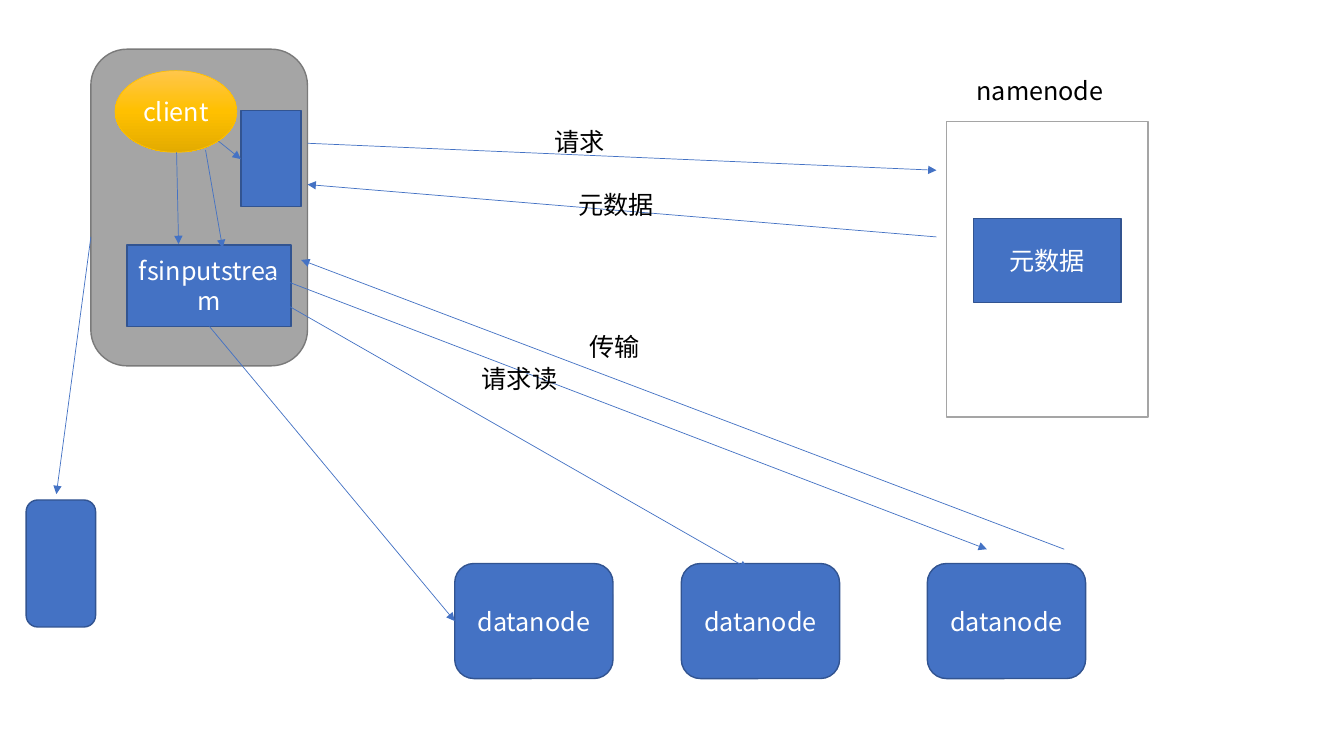
from copy import deepcopy
from typing import NamedTuple

from lxml import etree
from pptx import Presentation
from pptx.dml.color import RGBColor
from pptx.enum.shapes import MSO_CONNECTOR, MSO_SHAPE
from pptx.enum.text import MSO_ANCHOR, MSO_AUTO_SIZE, PP_ALIGN
from pptx.oxml.ns import qn
from pptx.slide import Slide
from pptx.util import Cm, Pt

RECT = MSO_SHAPE.RECTANGLE
ROUND = MSO_SHAPE.ROUNDED_RECTANGLE
OVAL = MSO_SHAPE.OVAL
STRAIGHT = MSO_CONNECTOR.STRAIGHT
CENTER = PP_ALIGN.CENTER
LEFT = PP_ALIGN.LEFT
MIDDLE = MSO_ANCHOR.MIDDLE
FIT_SHAPE = MSO_AUTO_SIZE.SHAPE_TO_FIT_TEXT

FONT = "Noto Sans CJK SC"
COLORS = {
    "white": "FFFFFF",
    "black": "000000",
    "blue": "4472C4",
    "blue_edge": "325491",
    "gray": "A5A5A5",
    "gray_edge": "7A7A7A",
    "gold": "FFC000",
    "gold_light": "FFC64B",
    "gold_dark": "E3AB00",
}
GOLD_STOPS = ((0, "gold_light"), (0.5, "gold"), (1, "gold_dark"))
LABEL_HEIGHT = 1.02


class Box(NamedTuple):
    kind: int
    left: float
    top: float
    width: float
    height: float
    text: str = ""
    fill: str = "blue"
    edge: str = "blue_edge"
    edge_pt: float = 1


class Label(NamedTuple):
    text: str
    left: float
    top: float
    width: float


class Arrow(NamedTuple):
    x1: float
    y1: float
    x2: float
    y2: float


DATANODES = [Box(ROUND, x, 14.2, 3.99, 2.9, "datanode") for x in (11.46, 17.17, 23.37)]
BOXES = [
    Box(RECT, 23.85, 3.07, 5.08, 7.44, fill="white", edge="gray"),
    Box(RECT, 24.54, 5.51, 3.71, 2.11, "元数据"),
    *DATANODES,
    Box(ROUND, 2.29, 1.24, 5.46, 7.98, fill="gray", edge="gray_edge"),
    Box(OVAL, 2.9, 1.78, 3.07, 2.06, "client", "gold", "gold", 0.5),
    Box(RECT, 6.07, 2.79, 1.52, 2.41),
    Box(RECT, 3.2, 6.17, 4.14, 2.06, "fsinputstream"),
    Box(ROUND, 0.66, 12.6, 1.75, 3.2),
]
ARROWS = [
    Arrow(7.75, 3.61, 23.6, 4.29),
    Arrow(23.6, 5.97, 7.75, 4.65),
    Arrow(5.51, 3.56, 6.07, 4.01),
    Arrow(5.28, 8.23, 11.46, 15.65),
    Arrow(6.68, 7.37, 18.85, 14.33),
    Arrow(6.68, 6.88, 24.87, 13.84),
    Arrow(26.82, 13.84, 7.59, 6.55),
    Arrow(5.18, 3.78, 5.61, 6.25),
    Arrow(4.45, 3.84, 4.5, 6.15),
    Arrow(2.29, 5.97, 1.42, 12.45),
]
LABELS = [
    Label("namenode", 24.36, 1.78, 5.46),
    Label("请求", 13.72, 3.07, 3.23),
    Label("元数据", 14.33, 4.65, 3.51),
    Label("请求读", 11.89, 9.02, 5.46),
    Label("传输", 14.61, 8.23, 4.14),
]


def rgb(name: str) -> RGBColor:
    return RGBColor.from_string(COLORS[name])


def set_text(tf, text: str, color: str, align) -> None:
    tf.word_wrap = True
    tf.text = text
    p = tf.paragraphs[0]
    p.alignment = align
    for r in p.runs:
        r.font.size = Pt(18)
        r.font.name = FONT
        r.font.color.rgb = rgb(color)
        ea = etree.SubElement(r.font._element, qn("a:ea"))
        ea.set("typeface", FONT)


def fill_gold(sp) -> None:
    """Fill with the three-stop gold gradient, light at the top."""
    sp.fill.gradient()
    sp.fill.gradient_angle = 270
    first = sp._element.spPr.find(".//" + qn("a:gs"))
    first.addnext(deepcopy(first))
    for stop, (position, color) in zip(sp.fill.gradient_stops, GOLD_STOPS):
        stop.position = position
        stop.color.rgb = rgb(color)


def add_box(s: Slide, box: Box) -> None:
    sp = s.shapes.add_shape(
        box.kind, Cm(box.left), Cm(box.top), Cm(box.width), Cm(box.height)
    )
    sp.shadow.inherit = False
    if box.fill == "gold":
        fill_gold(sp)
    else:
        sp.fill.solid()
        sp.fill.fore_color.rgb = rgb(box.fill)
    sp.line.color.rgb = rgb(box.edge)
    sp.line.width = Pt(box.edge_pt)
    if box.text:
        set_text(sp.text_frame, box.text, "white", CENTER)
        sp.text_frame.vertical_anchor = MIDDLE


def add_arrow(s: Slide, arrow: Arrow) -> None:
    line = s.shapes.add_connector(STRAIGHT, *(Cm(v) for v in arrow))
    line.line.color.rgb = rgb("blue")
    line.line.width = Pt(0.5)
    spPr = line._element.spPr
    tail = etree.SubElement(spPr.find(qn("a:ln")), qn("a:tailEnd"))
    tail.set("type", "triangle")
    etree.SubElement(spPr, qn("a:effectLst"))


def add_label(s: Slide, label: Label) -> None:
    sp = s.shapes.add_textbox(
        Cm(label.left), Cm(label.top), Cm(label.width), Cm(LABEL_HEIGHT)
    )
    set_text(sp.text_frame, label.text, "black", LEFT)
    sp.text_frame.auto_size = FIT_SHAPE


def main() -> None:
    prs = Presentation()
    prs.slide_width, prs.slide_height = Cm(33.87), Cm(19.05)
    s = prs.slides.add_slide(prs.slide_layouts[6])
    for box in BOXES:
        add_box(s, box)
    for arrow in ARROWS:
        add_arrow(s, arrow)
    for label in LABELS:
        add_label(s, label)
    prs.save("out.pptx")


if __name__ == "__main__":
    main()
